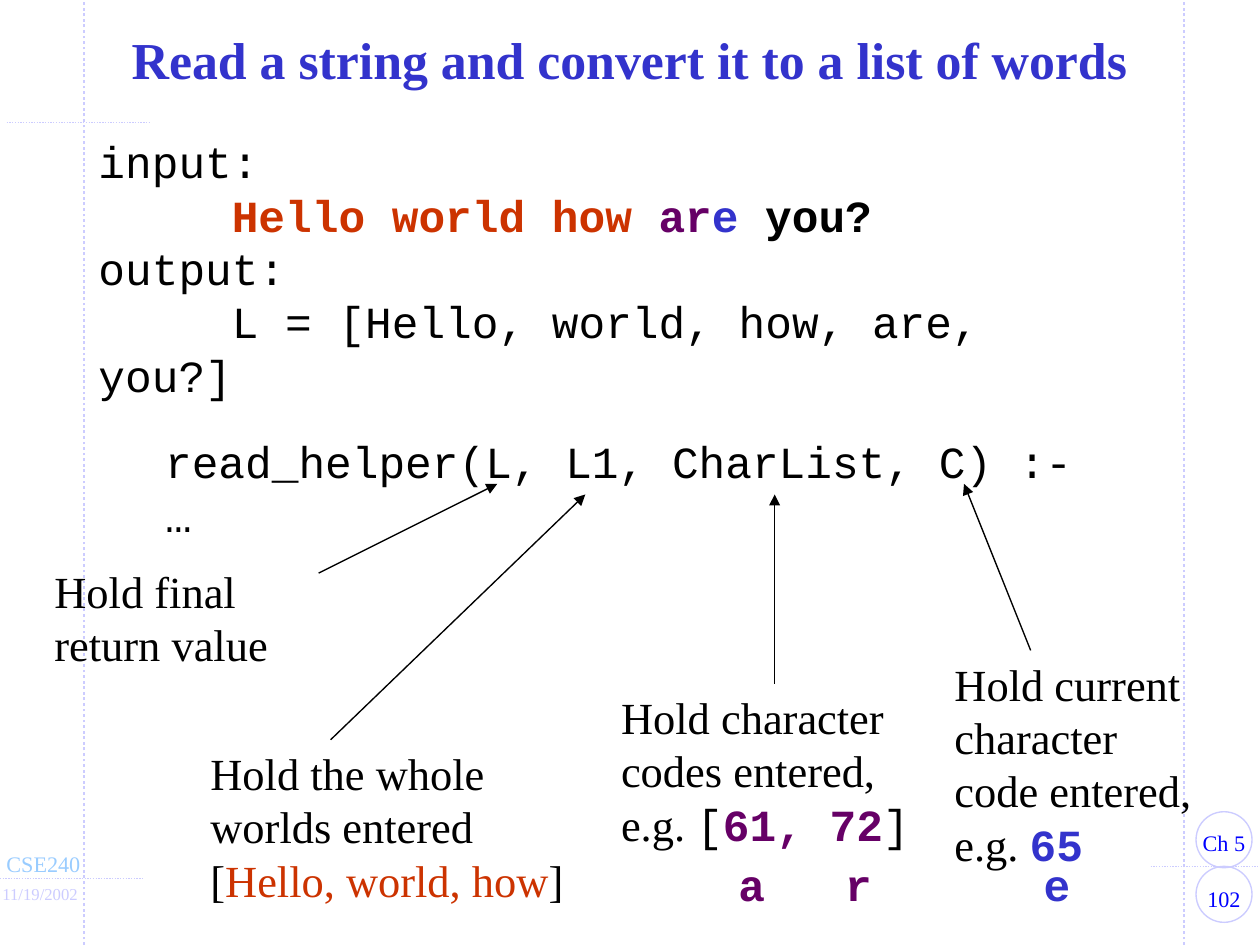
from lxml import etree
from pptx import Presentation
from pptx import util as u
from pptx.dml.color import RGBColor
from pptx.enum import dml, shapes, text
from pptx.oxml.ns import qn

WIDTH, HEIGHT = u.Inches(9.45), u.Inches(7.09)
COLUMN, ROW = WIDTH / 94.5, HEIGHT / 70.9

SERIF, MONO = "Times New Roman", "Courier New"
BLACK, LAVENDER, SKY, LINK = "000000", "CCCCFF", "99CCFF", "0000FF"
BLUE, RED, PURPLE = "3333CC", "CC3300", "660066"

TITLE = "Read a string and convert it to a list of words"
TITLE_AREA = (6.9, 1.4, 80.6, 6.7)

CODE_AREA = (6.4, 9.6, 79.5, 17)
CODE = [
    "input:",
    [("Hello world how ", {"color": RED, "bold": True}),
     ("ar", {"color": PURPLE, "bold": True}),
     ("e", {"color": BLUE, "bold": True}),
     (" you?", {"bold": True})],
    "output:",
    "L = [Hello, world, how, are, you?]",
]
HEAD_AREA = (11.4, 32.1, 75.9, 9)
HEAD = ["read_helper(L, L1, CharList, C) :-", "…"]

CALLOUTS = [
    ((3.1, 41.8, 20, 9), (23.9, 43, 37.3, 36.3),
     ["Hold final", "return value"]),
    ((14.8, 55.5, 30, 13), (24.8, 55.5, 43.9, 37.1),
     ["Hold the whole", "worlds entered",
      [("[", {}), ("Hello, world, how", {"color": RED}), ("]", {})]]),
    ((45.6, 51.3, 24, 13), (58.1, 51.3, 58.1, 37.1),
     ["Hold character", "codes entered,",
      [("e.g. ", {}), ("[", {"font": MONO}),
       ("61, 72", {"font": MONO, "color": PURPLE, "bold": True}),
       ("]", {"font": MONO})]]),
    ((70.6, 48.8, 23.9, 17), (77.3, 48.8, 72.3, 36.3),
     ["Hold current", "character", "code entered,",
      [("e.g. ", {}), ("65", {"font": MONO, "color": BLUE, "bold": True})]]),
]
LETTERS = [("a", 54.4, PURPLE), ("r", 62.4, PURPLE), ("e", 77.3, BLUE)]

BADGES = [("Ch 5", 60.9, 61.7), ("102", 65, 65.9)]
FOOTERS = [("CSE240", (-0.5, 63.3, 9, 3), 12, SKY),
           ("11/19/2002", (-0.8, 65.8, 9, 2.5), 9, LAVENDER)]
GUIDES = [((6.3, 70.9, 6.3, 0), 1.5), ((88.8, 70.9, 88.8, 0), 1.5),
          ((0, 65.9, 10.8, 65.9), 0.75), ((86.3, 65, 95, 65), 0.75),
          ((0.5, 9.2, 11.3, 9.2), 0.75)]


def rgb(color):
    return RGBColor.from_string(color)


def place(left, top, width, height):
    return (round(left * COLUMN), round(top * ROW),
            round(width * COLUMN), round(height * ROW))


def write(frame, lines, size=24, font=SERIF, color=BLACK, bold=False,
          align=text.PP_ALIGN.LEFT, indents=()):
    frame.word_wrap = True
    for number, line in enumerate(lines):
        paragraph = frame.paragraphs[0] if number == 0 else frame.add_paragraph()
        paragraph.alignment = align
        if number in indents:
            properties = paragraph._p.get_or_add_pPr()
            properties.set("marL", "0")
            properties.set("indent", str(u.Inches(1)))
        for content, changes in [(line, {})] if isinstance(line, str) else line:
            run = paragraph.add_run()
            run.text = content
            run.font.size = u.Pt(size)
            run.font.name = changes.get("font", font)
            run.font.bold = changes.get("bold", bold)
            run.font.color.rgb = rgb(changes.get("color", color))


def add_text(slide, area, lines, **style):
    write(slide.shapes.add_textbox(*place(*area)).text_frame, lines, **style)


def add_line(slide, ends, color, weight, dotted=False, arrow=False):
    connector = slide.shapes.add_connector(
        shapes.MSO_CONNECTOR.STRAIGHT, *place(*ends))
    connector.line.color.rgb = rgb(color)
    connector.line.width = u.Pt(weight)
    if dotted:
        connector.line.dash_style = dml.MSO_LINE.ROUND_DOT
    if arrow:
        etree.SubElement(connector.line._get_or_add_ln(), qn("a:tailEnd"),
                         type="triangle")
    etree.SubElement(connector._element.spPr, qn("a:effectLst"))


def add_frame(slide):
    for ends, weight in GUIDES:
        add_line(slide, ends, LAVENDER, weight, dotted=True)
    for label, circle_top, label_top in BADGES:
        circle = slide.shapes.add_shape(
            shapes.MSO_SHAPE.OVAL, *place(89.7, circle_top, 4.2, 4.2))
        circle.shadow.inherit = False
        circle.fill.background()
        circle.line.color.rgb = rgb(LAVENDER)
        circle.line.width = u.Pt(0.75)
        add_text(slide, (88.8, label_top, 6, 3), [label], size=12,
                 color=LINK, align=text.PP_ALIGN.CENTER)
    for label, area, size, color in FOOTERS:
        add_text(slide, area, [label], size=size, color=color)


def add_title(slide):
    title = slide.shapes.title
    title.left, title.top, title.width, title.height = place(*TITLE_AREA)
    title.text_frame.vertical_anchor = text.MSO_ANCHOR.MIDDLE
    write(title.text_frame, [TITLE], size=28, color=BLUE, bold=True,
          align=text.PP_ALIGN.CENTER)
    title.text_frame.paragraphs[0].line_spacing = 0.85


def main():
    presentation = Presentation()
    presentation.slide_width, presentation.slide_height = WIDTH, HEIGHT
    slide = presentation.slides.add_slide(presentation.slide_layouts[5])
    add_frame(slide)
    add_title(slide)
    add_text(slide, HEAD_AREA, HEAD, font=MONO)
    add_text(slide, CODE_AREA, CODE, font=MONO, indents=(1, 3))
    for area, arrow, lines in CALLOUTS:
        add_text(slide, area, lines)
        add_line(slide, arrow, BLACK, 0.75, arrow=True)
    for letter, left, color in LETTERS:
        add_text(slide, (left, 63.8, 5, 5), [letter], font=MONO,
                 color=color, bold=True)
    presentation.save("out.pptx")


if __name__ == "__main__":
    main()
